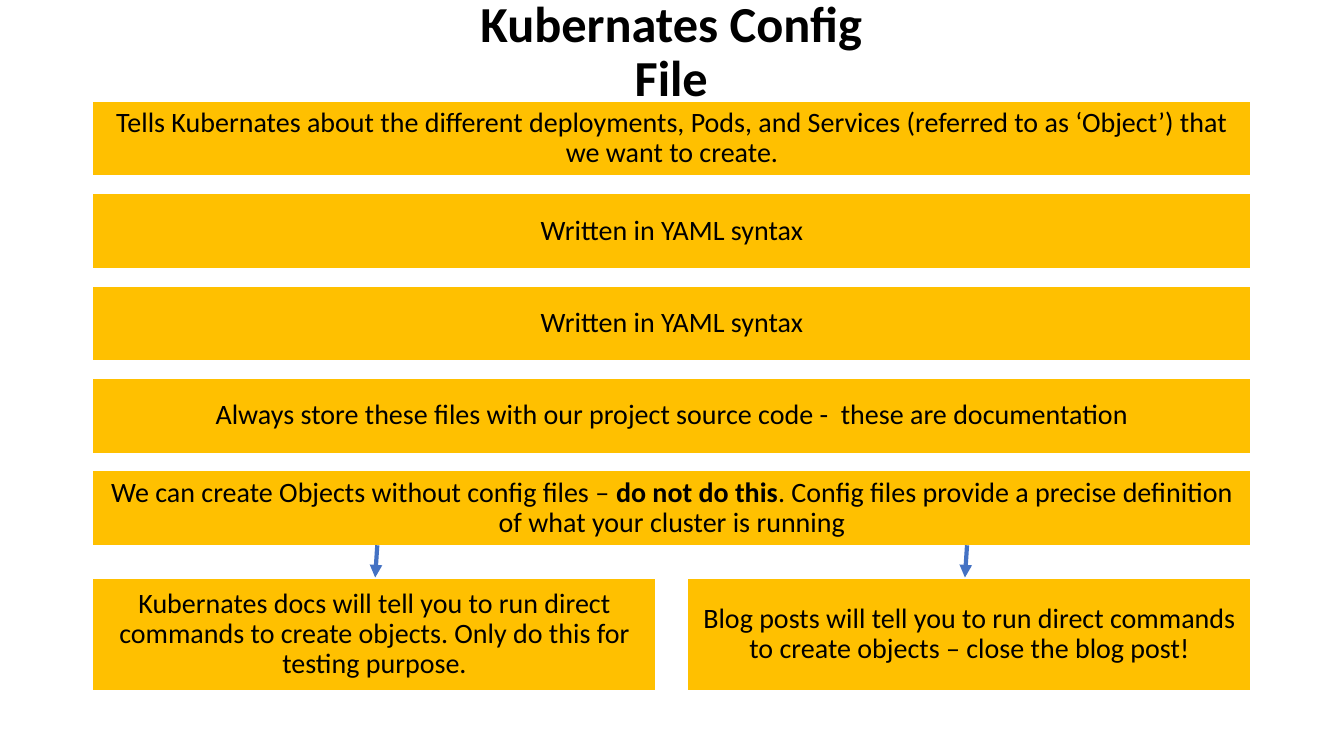
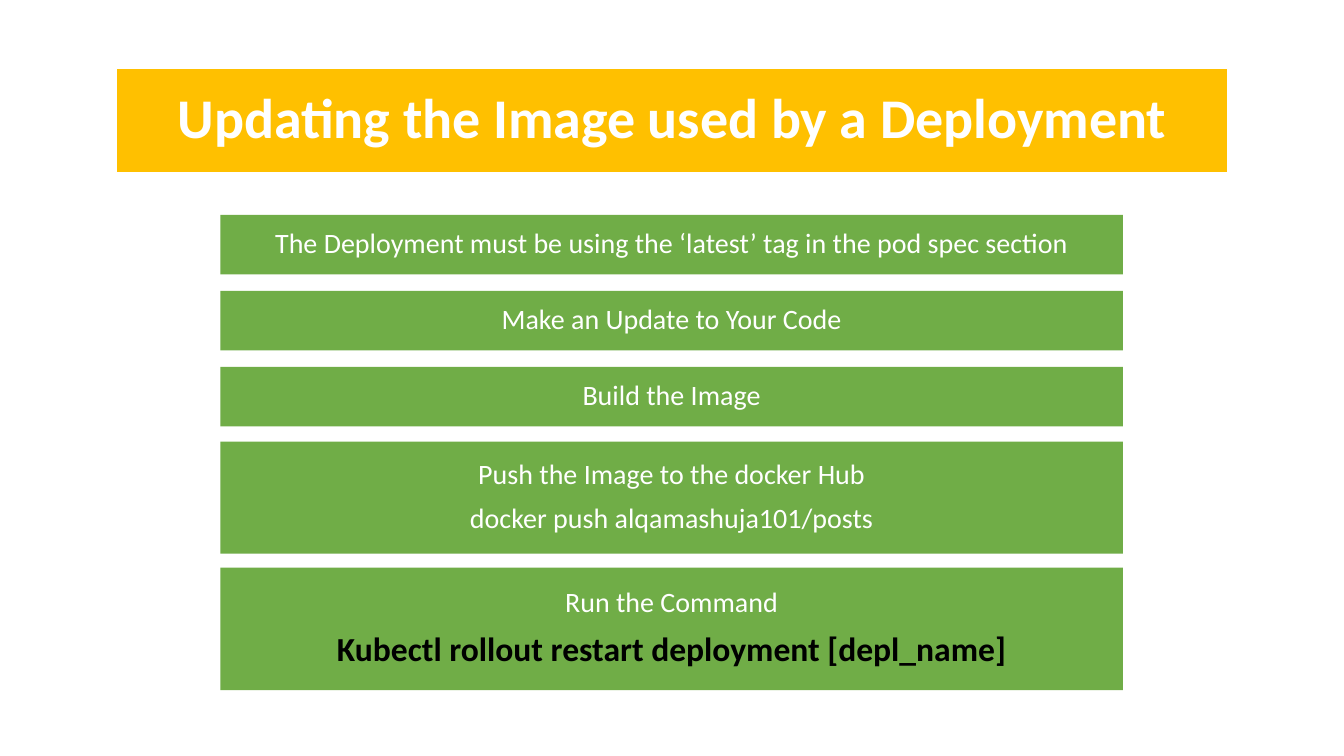
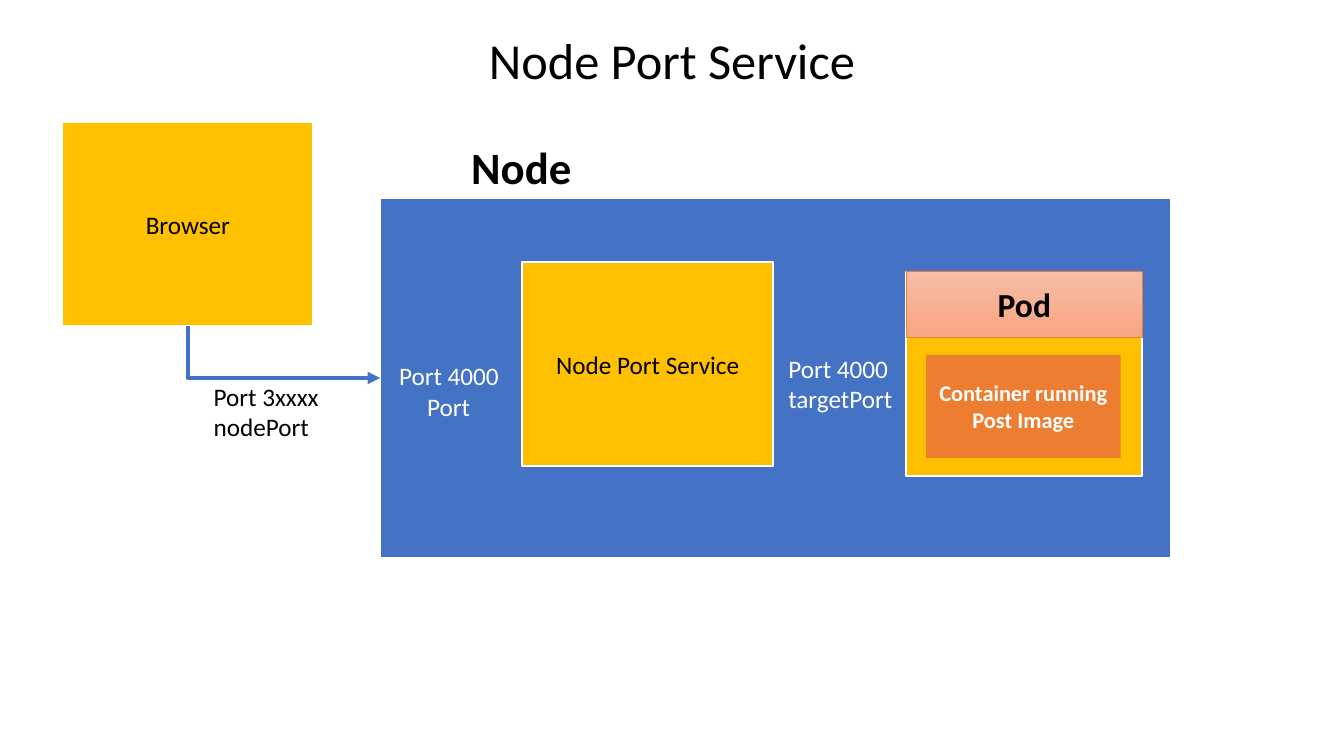
from dataclasses import dataclass

from lxml import etree
from pptx import Presentation
from pptx import util as u
from pptx.dml import color as c
from pptx.enum import dml, shapes, text
from pptx.oxml import ns

Pt = u.Pt
MID = text.PP_ALIGN.CENTER
LEFT = text.PP_ALIGN.LEFT


@dataclass(frozen=True)
class Theme:
    font: str = "Calibri"
    black: str = "000000"
    white: str = "FFFFFF"
    gold: str = "FFC000"
    green: str = "70AD47"
    blue: str = "4472C4"
    orange: str = "ED7D31"
    blush: tuple = ("F7BDA5", "F8A582")
    tiny: int = 16
    small: int = 18
    body: int = 20
    large: int = 24
    head: int = 32
    title: int = 36
    banner: int = 40
    edge: float = 1.5
    arrow: int = 3
    tight: float = 0.9
    space: int = 10


T = Theme()


def apply(obj, form):
    for name, value in form.items():
        setattr(obj, name, value)


def rgb(tone):
    return c.RGBColor.from_string(tone)


class Deck:
    def __init__(self):
        self.show = Presentation()
        apply(self.show, {"slide_width": Pt(960), "slide_height": Pt(540)})
        self.slide = None

    def fill_in(self, frame, paras, size, tone=T.black, bold=False, align=MID,
                lead=None, gap=0, indent=0):
        for i, runs in enumerate(paras):
            para = frame.paragraphs[0] if i == 0 else frame.add_paragraph()
            if i and indent:
                para._p.get_or_add_pPr().set("marL", str(Pt(indent)))
            apply(para, {"alignment": align, "line_spacing": lead,
                         "space_before": Pt(gap if i else 0)})
            for part in [runs] if isinstance(runs, str) else runs:
                words, extra = (part, {}) if isinstance(part, str) else part
                form = {"size": size, "bold": bold, "tone": tone, **extra}
                run = para.add_run()
                run.text = words
                run.font.color.rgb = rgb(form.pop("tone"))
                apply(run.font, {"name": T.font, **form, "size": Pt(form["size"])})

    def paint(self, shape, fill, edge=None, width=T.edge):
        if isinstance(fill, tuple):
            shape.fill.gradient()
            shape.fill.gradient_angle = 270
            for stop, tone in zip(shape.fill.gradient_stops, fill):
                stop.color.rgb = rgb(tone)
        else:
            shape.fill.solid()
            shape.fill.fore_color.rgb = rgb(fill)
        if edge:
            shape.line.color.rgb = rgb(edge)
            shape.line.width = Pt(width)
        else:
            shape.line.fill.background()

    def page(self, words, x, y, w, h, size=T.title, fill=None, **form):
        self.slide = self.show.slides.add_slide(self.show.slide_layouts[5])
        title = self.slide.shapes.title
        apply(title, {"left": Pt(x), "top": Pt(y), "width": Pt(w), "height": Pt(h)})
        apply(title.text_frame, {"word_wrap": True,
                                 "auto_size": text.MSO_AUTO_SIZE.NONE,
                                 "vertical_anchor": text.MSO_ANCHOR.MIDDLE})
        self.fill_in(title.text_frame, [words], size, lead=T.tight, **form)
        if fill:
            self.paint(title, fill, T.white)

    def box(self, x, y, w, h, fill, paras=(), size=T.body, edge=T.white,
            width=T.edge, **form):
        shape = self.slide.shapes.add_shape(
            shapes.MSO_SHAPE.RECTANGLE, Pt(x), Pt(y), Pt(w), Pt(h))
        shape.shadow.inherit = False
        self.paint(shape, fill, edge, width)
        apply(shape.text_frame, {"word_wrap": True,
                                 "vertical_anchor": text.MSO_ANCHOR.MIDDLE})
        self.fill_in(shape.text_frame, paras, size, **form)

    def row(self, x, y, w, h, fill, paras, **form):
        self.box(x, y, w, h, fill, paras, lead=T.tight, gap=T.space, **form)

    def label(self, x, y, w, h, paras, size=T.small, wrap=True, **form):
        frame = self.slide.shapes.add_textbox(Pt(x), Pt(y), Pt(w), Pt(h)).text_frame
        apply(frame, {"word_wrap": wrap,
                      "auto_size": text.MSO_AUTO_SIZE.SHAPE_TO_FIT_TEXT})
        self.fill_in(frame, paras, size, align=LEFT, **form)

    def arrow(self, x1, y1, x2, y2, kind=shapes.MSO_CONNECTOR.STRAIGHT):
        line = self.slide.shapes.add_connector(kind, Pt(x1), Pt(y1), Pt(x2), Pt(y2))
        line.line.color.rgb = rgb(T.blue)
        line.line.width = Pt(T.arrow)
        line.line.dash_style = dml.MSO_LINE.SOLID
        tail = etree.SubElement(line.line._get_or_add_ln(), ns.qn("a:tailEnd"))
        tail.set("type", "triangle")
        etree.SubElement(line._element.spPr, ns.qn("a:effectLst"))
        return line

    def elbow(self, x1, y1, x2, y2):
        mid, level = (x1 + x2) / 2, (y1 + y2) / 2
        across, down = (y2 - y1) / 2, (x2 - x1) / 2
        line = self.arrow(mid + across, level - down, mid - across, level + down,
                          shapes.MSO_CONNECTOR.ELBOW)
        props = line._element.spPr
        props.find(ns.qn("a:xfrm")).set("rot", str(270 * 60000))
        props.find(ns.qn("a:prstGeom")).set("prst", "bentConnector2")


def config(deck):
    deck.page("Kubernates Config File", 308, 11, 343, 54, bold=True)
    yaml = "Written in YAML syntax"
    rows = [
        "Tells Kubernates about the different deployments, Pods, and Services "
        "(referred to as ‘Object’) that we want to create.",
        yaml,
        yaml,
        "Always store these files with our project source code -  these are documentation",
        ["We can create Objects without config files – ",
         ("do not do this", {"bold": True}),
         ". Config files provide a precise definition of what your cluster is running"],
    ]
    for i, runs in enumerate(rows):
        deck.row(66, 72 + 66 * i, 828, 54, T.gold, [runs])
    notes = [
        "Kubernates docs will tell you to run direct commands to create objects. "
        "Only do this for testing purpose.",
        "Blog posts will tell you to run direct commands to create objects – "
        "close the blog post!",
    ]
    for i, words in enumerate(notes):
        deck.row(66 + 425 * i, 412.5, 403, 81, T.gold, [words])
    for i in range(len(notes)):
        x = 268 + 421.25 * i
        deck.arrow(x + 1.5, 389.5, x, 412.5)


def update(deck):
    deck.page("Updating the Image used by a Deployment", 83, 48.5, 794, 75.5,
              T.banner, T.gold, tone=T.white, bold=True)
    steps = [
        (153.5, 42.5, ["The Deployment must be using the ‘latest’ tag in the pod spec section"]),
        (207.75, 42.5, ["Make an Update to Your Code"]),
        (262, 42.5, ["Build the Image"]),
        (315.5, 80, ["Push the Image to the docker Hub", "docker push alqamashuja101/posts"]),
        (405.5, 87.5, ["Run the Command",
                       [("Kubectl rollout restart deployment [depl_name]",
                         {"size": T.large, "tone": T.black, "bold": True})]]),
    ]
    for y, h, paras in steps:
        deck.row(157.5, y, 644.5, h, T.green, paras, tone=T.white, edge=None)


def node(deck):
    deck.page("Node Port Service", 292.5, 18, 375, 54)
    deck.box(271.5, 141.5, 565, 257, T.blue)
    deck.box(647.5, 194, 168.5, 146, T.gold)
    deck.box(647.5, 194, 168.5, 47, T.blush, ["Pod"], T.large, T.orange, 0.5, bold=True)
    deck.box(661.5, 253.5, 139, 73.5, T.orange, ["Container running Post Image"],
             T.tiny, None, tone=T.white, bold=True)
    deck.label(329.5, 96, 87, 46, ["Node"], T.head, wrap=False, bold=True)
    for x, y, words in [(373, 187, "Node Port Service"), (44.5, 87, "Browser")]:
        deck.box(x, y, 179.5, 146, T.gold, [words], T.small)
    deck.elbow(134, 233, 271.5, 270)
    deck.label(145.5, 268.5, 104.5, 51, ["Port 3xxxx", "nodePort"])
    deck.label(278, 254, 100, 51, ["Port 4000", "Port"], tone=T.white, indent=20)
    deck.label(556, 248.5, 100, 51, ["Port 4000", "targetPort"], tone=T.white)


def main():
    deck = Deck()
    for build in (config, update, node):
        build(deck)
    deck.show.save("out.pptx")


if __name__ == "__main__":
    main()
